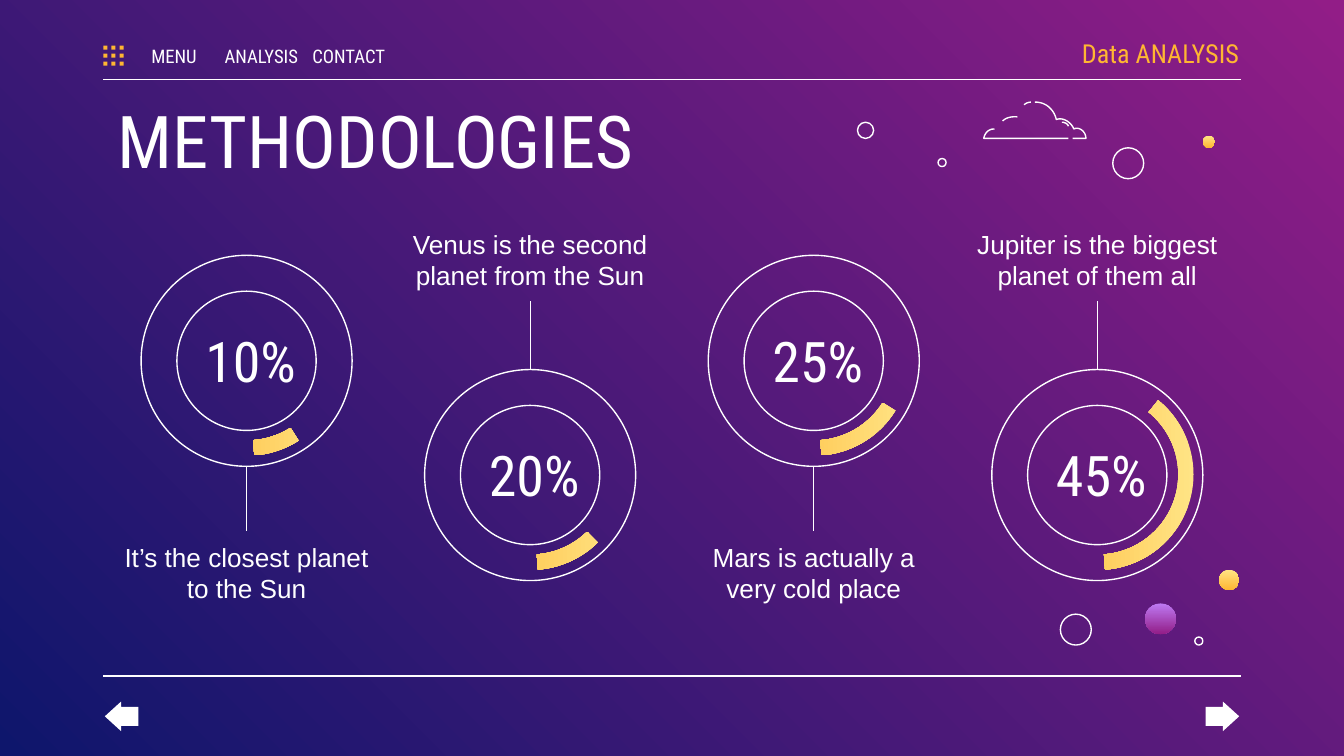
"""Build the METHODOLOGIES slide with four percentage rings."""
from lxml import etree
from pptx import Presentation
from pptx.dml.color import RGBColor
from pptx.enum.shapes import MSO_CONNECTOR, MSO_SHAPE
from pptx.enum.text import MSO_ANCHOR, PP_ALIGN
from pptx.oxml.ns import qn
from pptx.util import Inches, Pt

COLORS = {
    "white": "FFFFFF",
    "amber": "FFB632",
    "yellow": "FFE485",
    "lilac": "BE7AF3",
    "magenta": "921D87",
    "navy": "0E166C",
}
GOLD = ("yellow", "amber")
PURPLE = ("lilac", "magenta")
HEAD, BODY = "Roboto Condensed", "Arial"

RINGS = [
    ("10%", "It’s the closest planet to the Sun", 196.47),
    ("20%", "Venus is the second planet from the Sun", 189.29),
    ("25%", "Mars is actually a very cold place", 181.15),
    ("45%", "Jupiter is the biggest planet of them all", 131.39),
]
CIRCLES = [
    (6.38, 0.91, 0.12, None),
    (8.28, 1.10, 0.23, None),
    (6.98, 1.18, 0.06, None),
    (7.89, 4.57, 0.23, None),
    (8.89, 4.74, 0.06, None),
    (8.95, 1.01, 0.09, GOLD),
    (9.07, 4.24, 0.15, GOLD),
    (8.52, 4.49, 0.23, PURPLE),
]
CLOUD = [
    [(7.70, 0.76), (7.78, 0.76, 7.84, 0.81, 7.86, 0.89), (7.91, 0.87, 7.97, 0.91, 7.99, 0.96),
     (8.03, 0.94, 8.08, 0.98, 8.08, 1.03), (7.98, 1.03)],
    [(7.67, 0.76), (7.67, 0.76, 7.64, 0.76, 7.62, 0.78)],
    [(7.95, 1.03), (7.32, 1.03), (7.32, 1.03, 7.33, 0.96, 7.40, 0.96)],
    [(7.90, 0.91), (7.90, 0.91, 7.94, 0.91, 7.95, 0.94)],
    [(7.57, 0.87), (7.57, 0.87, 7.50, 0.86, 7.46, 0.90)],
]


def rgb(name):
    return RGBColor.from_string(COLORS[name])


def flatten(path, steps=10):
    """Turn line and cubic curve segments into a list of points."""
    points = [path[0]]
    for seg in path[1:]:
        if len(seg) == 2:
            points.append(seg)
            continue
        x0, y0 = points[-1]
        x1, y1, x2, y2, x3, y3 = seg
        for i in range(1, steps + 1):
            t = i / steps
            a, b, c, d = (1 - t) ** 3, 3 * t * (1 - t) ** 2, 3 * t * t * (1 - t), t ** 3
            points.append((a * x0 + b * x1 + c * x2 + d * x3, a * y0 + b * y1 + c * y2 + d * y3))
    return points


class Deck:
    """Holds the style and the current slide."""

    def __init__(self, prs):
        self.s = prs.slides.add_slide(prs.slide_layouts[6])
        self.line_color, self.line_width = "white", Pt(0.75)

    def gradient(self, fill, names, angle):
        fill.gradient()
        fill.gradient_angle = angle
        for stop, name in zip(fill.gradient_stops, names):
            stop.color.rgb = rgb(name)

    def stroke(self, line):
        line.color.rgb = rgb(self.line_color)
        line.width = self.line_width

    def paint(self, sp, fill):
        sp.shadow.inherit = False
        if fill is None:
            sp.fill.background()
            self.stroke(sp.line)
            return
        sp.line.fill.background()
        if isinstance(fill, tuple):
            self.gradient(sp.fill, fill, 270)
        else:
            sp.fill.solid()
            sp.fill.fore_color.rgb = rgb(fill)

    def shape(self, kind, x, y, w, h, fill=None, adj=(), rot=0):
        sp = self.s.shapes.add_shape(kind, Inches(x), Inches(y), Inches(w), Inches(h))
        for i, value in enumerate(adj):
            sp.adjustments[i] = value
        sp.rotation = rot
        self.paint(sp, fill)
        return sp

    def curve(self, path):
        points = [(Inches(x), Inches(y)) for x, y in flatten(path)]
        builder = self.s.shapes.build_freeform(*points[0])
        builder.add_line_segments(points[1:], close=False)
        self.paint(builder.convert_to_shape(), None)

    def line(self, x1, y1, x2, y2):
        cx = self.s.shapes.add_connector(
            MSO_CONNECTOR.STRAIGHT, Inches(x1), Inches(y1), Inches(x2), Inches(y2))
        self.stroke(cx.line)
        etree.SubElement(cx._element.spPr, qn("a:effectLst"))
        return cx

    def text(self, text, x, y, w, h, size, font=HEAD, color="white", align=PP_ALIGN.CENTER,
             anchor=MSO_ANCHOR.MIDDLE, left=0.1, right=0.1):
        sp = self.s.shapes.add_textbox(Inches(x), Inches(y), Inches(w), Inches(h))
        tf = sp.text_frame
        tf.word_wrap = True
        tf.vertical_anchor = anchor
        tf.margin_left, tf.margin_right = Inches(left), Inches(right)
        tf.margin_top = tf.margin_bottom = Inches(0.1)
        tf.text = text
        p = tf.paragraphs[0]
        p.alignment = align
        r = p.runs[0]
        r.font.size, r.font.name = Pt(size), font
        r.font.color.rgb = rgb(color)
        return sp

    def ring(self, index, percent, caption, start):
        x, low = 2.11 * index, index % 2
        y = 2.75 if low else 1.9
        center = x + 1.835
        self.shape(MSO_SHAPE.DONUT, x + 1.05, y, 1.57, 1.57, adj=[0.17])
        self.shape(MSO_SHAPE.BLOCK_ARC, x + 1.13, y + 0.07, 1.42, 1.42, GOLD,
                   [start, 213.49, 0.08], 90)
        self.text(percent, x + 1.25, y + 0.47, 1.23, 0.62, 30)
        box = self.text(caption, x + 0.78, 1.62 if low else 3.95, 2.11, 0.62, 14, BODY)
        cx = self.line(center, y if low else y + 1.57, center, 2.24 if low else 3.95)
        cx.end_connect(box, 2 if low else 0)


def main():
    prs = Presentation()
    prs.slide_width = Inches(10)
    prs.slide_height = prs.slide_width * 9 // 16
    deck = Deck(prs)
    deck.gradient(deck.s.background.fill, ("magenta", "navy"), 225)
    for y in (0.59, 5.03):
        deck.line(0.77, y, 9.23, y)
    for i in range(9):
        deck.shape(MSO_SHAPE.RECTANGLE, 0.77 + 0.06 * (i // 3), 0.34 + 0.06 * (i % 3),
                   0.03, 0.03, "amber")
    for i, label in enumerate(("MENU", "ANALYSIS", "CONTACT")):
        deck.text(label, 1.01 + 0.65 * i, 0.3, 0.57, 0.23, 10, left=0, right=0)
    deck.text("Data ANALYSIS", 7.72, 0.23, 1.5, 0.33, 14, color="amber",
              align=PP_ALIGN.RIGHT, right=0)
    deck.text("METHODOLOGIES", 0.78, 0.61, 8.44, 0.66, 39, align=PP_ALIGN.LEFT,
              anchor=MSO_ANCHOR.TOP)
    for i, ring in enumerate(RINGS):
        deck.ring(i, *ring)
    for x, y, size, fill in CIRCLES:
        deck.shape(MSO_SHAPE.OVAL, x, y, size, size, fill)
    for path in CLOUD:
        deck.curve(path)
    for kind, x in ((MSO_SHAPE.LEFT_ARROW, 0.78), (MSO_SHAPE.RIGHT_ARROW, 8.97)):
        deck.shape(kind, x, 5.22, 0.25, 0.22, "white", [0.64, 0.55])
    prs.save("out.pptx")


if __name__ == "__main__":
    main()
